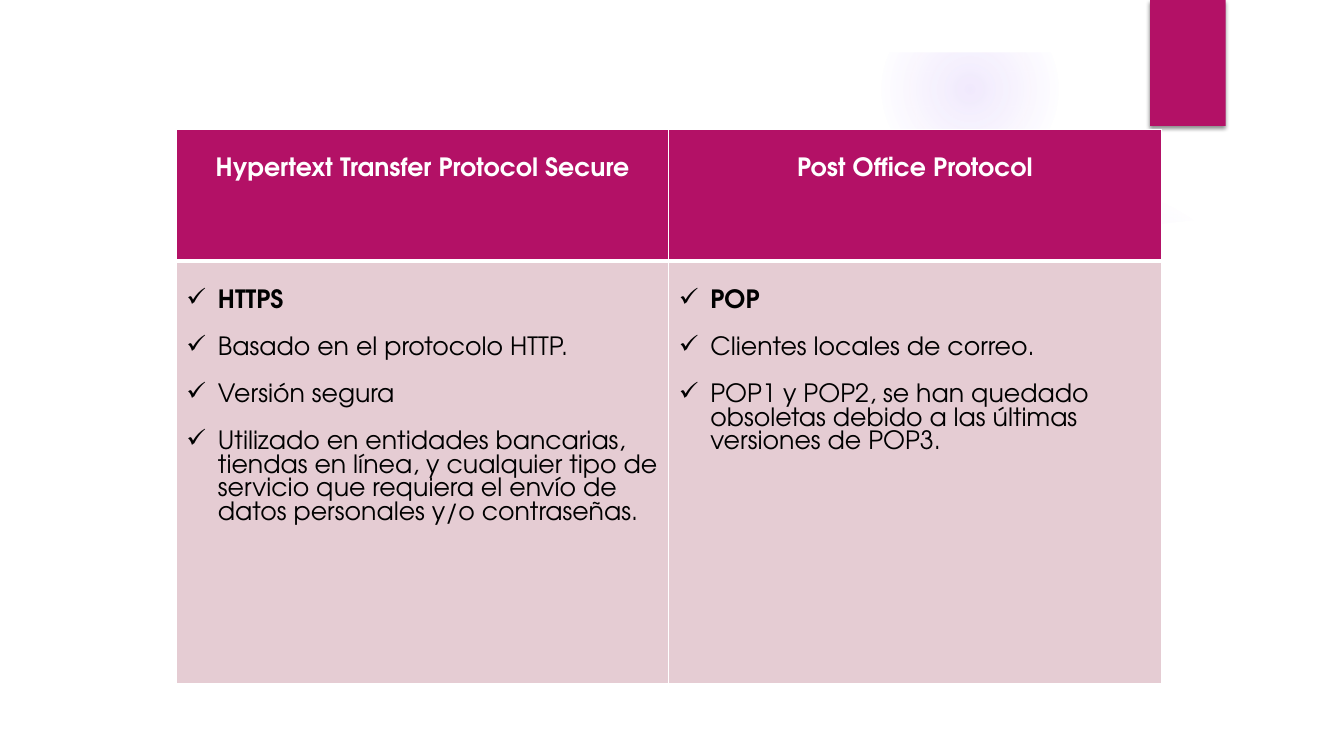
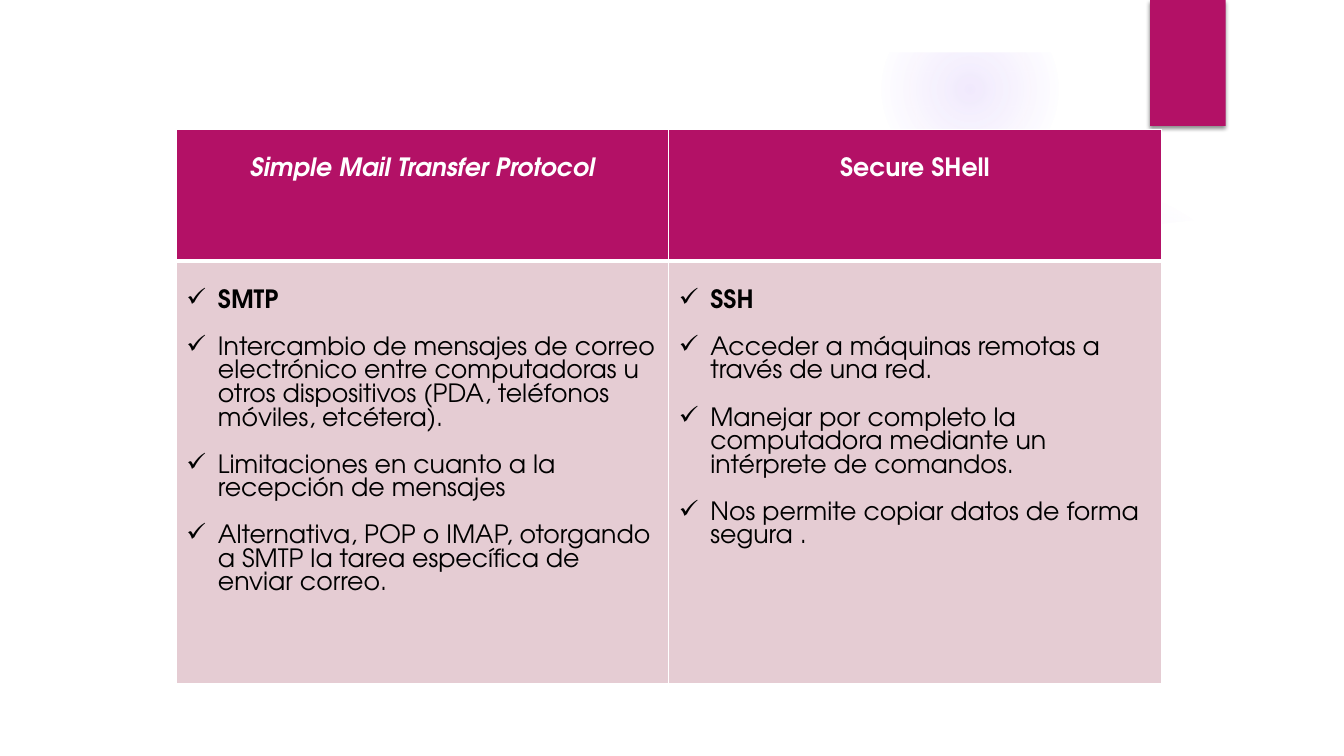
"""Builds two slides that compare network protocols side by side."""
from lxml.etree import SubElement
from pptx import Presentation
from pptx.dml.color import RGBColor
from pptx.enum.shapes import MSO_SHAPE as SHAPE
from pptx.enum.text import PP_ALIGN as ALIGN
from pptx.oxml import parse_xml
from pptx.oxml.ns import nsdecls, qn
from pptx.util import Pt

MAGENTA, PINK, WHITE, BLACK, VIOLET = "B31166", "E5CCD3", "FFFFFF", "000000", "9B6BF2"
FONT = "TeX Gyre Adventor"
LINE_HEIGHT = Pt(16.8)
INDENT = Pt(22.5)
GLOWS = [
    (677.5, 131.8, 221.8, [(0, 7), (36, 6), (69, 0)]),
    (630, 0.7, 126, [(0, 14), (36, 7), (73, 0)]),
]
PANEL_CURVE = [(924, 147), (864, 156), (804, 163), (743, 169), (683, 173.5), (624, 176),
               (510, 178.5), (385, 176.5), (259, 169.5), (135, 157), (36, 147)]

COMPARISONS = [
    [
        ("Hypertext Transfer Protocol Secure", False, [
            "HTTPS",
            "Basado en el protocolo HTTP.",
            "Versión segura",
            "Utilizado en entidades bancarias, tiendas en línea, y cualquier tipo de "
            "servicio que requiera el envío de datos personales y/o contraseñas.",
        ]),
        ("Post Office Protocol", False, [
            "POP",
            "Clientes locales de correo.",
            "POP1 y POP2, se han quedado obsoletas debido a las últimas versiones de POP3.",
        ]),
    ],
    [
        ("Simple Mail Transfer Protocol", True, [
            "SMTP",
            "Intercambio de mensajes de correo electrónico entre computadoras u otros "
            "dispositivos (PDA, teléfonos móviles, etcétera).",
            "Limitaciones en cuanto a la recepción de mensajes",
            "Alternativa, POP o IMAP, otorgando a SMTP la tarea específica de enviar correo.",
        ]),
        ("Secure SHell", False, [
            "SSH",
            "Acceder a máquinas remotas a través de una red.",
            "Manejar por completo la computadora mediante un intérprete de comandos.",
            "Nos permite copiar datos de forma segura .",
        ]),
    ],
]


def paint(target, color):
    """Fill a shape or cell; a shape also loses its outline and shadow."""
    target.fill.solid()
    target.fill.fore_color.rgb = RGBColor.from_string(color)
    if hasattr(target, "shadow"):
        target.line.fill.background()
        target.shadow.inherit = False


def style(paragraph, color, bold, italic=False):
    """Set the shared font and line height on a paragraph."""
    paragraph.line_spacing = LINE_HEIGHT
    font = paragraph.font
    font.name, font.size, font.bold, font.italic = FONT, Pt(18), bold, italic
    font.color.rgb = RGBColor.from_string(color)


prs = Presentation()
prs.slide_width, prs.slide_height = Pt(960), Pt(540)

for protocols in COMPARISONS:
    slide = prs.slides.add_slide(prs.slide_layouts[6])
    shapes = slide.shapes

    for left, top, size, stops in GLOWS:
        glow = shapes.add_shape(SHAPE.OVAL, Pt(left), Pt(top), Pt(size), Pt(size))
        paint(glow, VIOLET)
        stop_xml = "".join(
            f'<a:gs pos="{pos * 1000}"><a:srgbClr val="{VIOLET}">'
            f'<a:alpha val="{alpha * 1000}"/></a:srgbClr></a:gs>'
            for pos, alpha in stops)
        gradient = parse_xml(
            f'<a:gradFill {nsdecls("a")}><a:gsLst>{stop_xml}</a:gsLst><a:path path="circle">'
            '<a:fillToRect l="50000" t="50000" r="50000" b="50000"/></a:path></a:gradFill>')
        properties = glow._element.spPr
        properties.replace(properties.find(qn("a:solidFill")), gradient)

    outline = shapes.build_freeform(Pt(36), Pt(504))
    outline.add_line_segments([(Pt(x), Pt(y)) for x, y in [(924, 504)] + PANEL_CURVE])
    paint(outline.convert_to_shape(), WHITE)
    paint(shapes.add_shape(SHAPE.RECTANGLE, 0, 0, Pt(960), Pt(37.4)), WHITE)

    tab = shapes.add_shape(SHAPE.RECTANGLE, Pt(821.5), 0, Pt(54), Pt(90))
    paint(tab, MAGENTA)
    shadow = SubElement(tab._element.spPr.find(qn("a:effectLst")), qn("a:outerShdw"),
                        blurRad=str(Pt(3)), dist=str(Pt(2)), dir="5400000", rotWithShape="0")
    shade = SubElement(shadow, qn("a:srgbClr"), val=BLACK)
    SubElement(shade, qn("a:alpha"), val="45000")

    table = shapes.add_table(2, 2, Pt(126), Pt(92.3), Pt(703.4), Pt(396)).table
    table.first_row = table.horz_banding = False
    table.rows[0].height, table.rows[1].height = Pt(94.3), Pt(301.7)

    for column, (name, italic, facts) in enumerate(protocols):
        table.columns[column].width = Pt(351.7)
        heading, body = table.cell(0, column), table.cell(1, column)

        heading.text = name
        title = heading.text_frame.paragraphs[0]
        title.alignment = ALIGN.CENTER
        style(title, WHITE, True, italic)

        body.text = "\n".join(facts)
        for index, fact in enumerate(body.text_frame.paragraphs):
            bullet = fact._p.get_or_add_pPr()
            bullet.set("marL", str(INDENT))
            bullet.set("indent", str(-INDENT))
            SubElement(bullet, qn("a:buChar"), char="✓")
            if index:
                fact.space_before = LINE_HEIGHT
            style(fact, BLACK, index == 0)

        for cell, color, top_width, bottom_width in [(heading, MAGENTA, 1, 3), (body, PINK, 3, 1)]:
            cell.margin_top = Pt(20.4)
            paint(cell, color)
            edges = [("L", 1), ("R", 1), ("T", top_width), ("B", bottom_width)]
            for position, (edge, width) in enumerate(edges):
                cell._tc.tcPr.insert(position, parse_xml(
                    f'<a:ln{edge} {nsdecls("a")} w="{Pt(width)}"><a:solidFill>'
                    f'<a:srgbClr val="{WHITE}"/></a:solidFill></a:ln{edge}>'))

prs.save("out.pptx")
